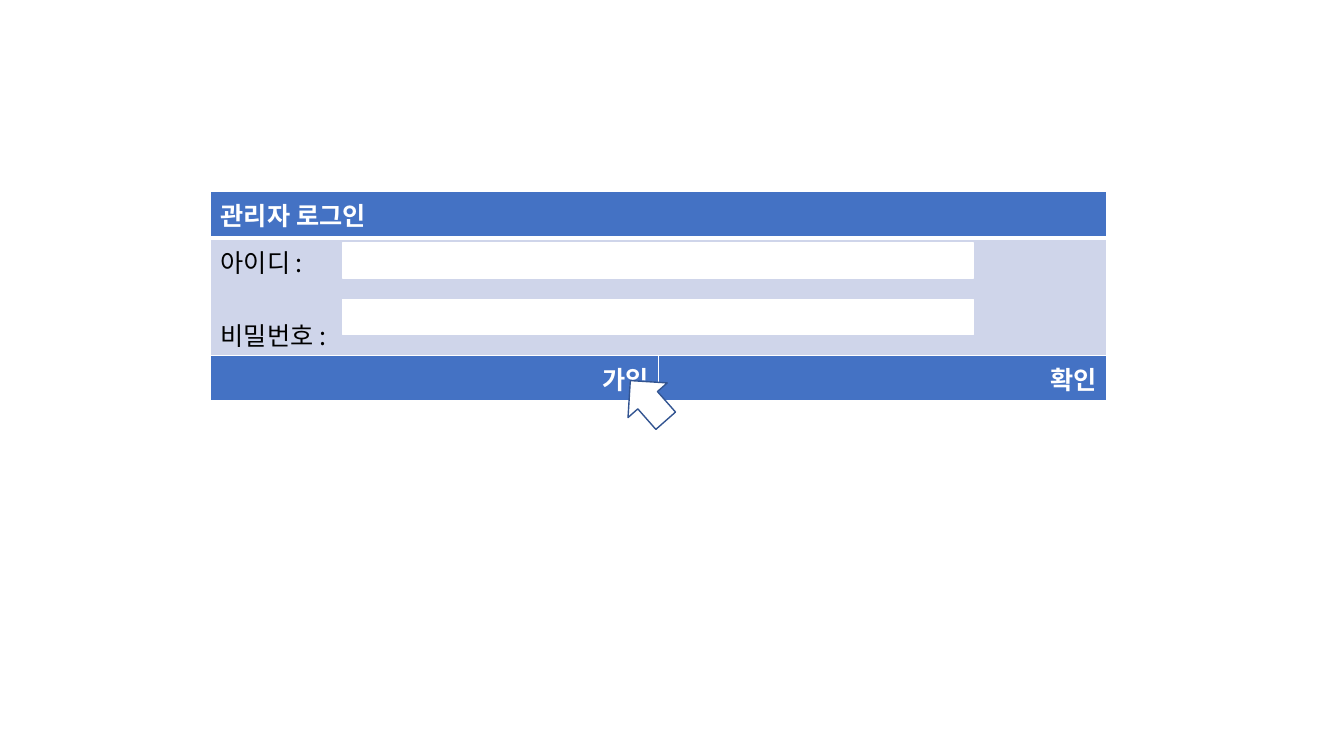
from dataclasses import dataclass

from lxml.etree import SubElement
from pptx import Presentation
from pptx.dml.color import RGBColor
from pptx.enum.shapes import MSO_SHAPE as Preset
from pptx.enum.text import PP_ALIGN as Align
from pptx.oxml.ns import qn
from pptx.slide import Slide
from pptx.table import _Cell as Cell
from pptx.util import Pt

FONT = "Noto Sans CJK KR"
WHITE = RGBColor(0xFF, 0xFF, 0xFF)
BLACK = RGBColor(0x00, 0x00, 0x00)
BLUE = RGBColor(0x44, 0x72, 0xC4)
PALE_BLUE = RGBColor(0xCF, 0xD5, 0xEA)
DARK_BLUE = RGBColor(0x32, 0x54, 0x91)

FORM_LEFT, FORM_WIDTH = 150.5, 640
LINE_GAP = 26  # one text line between the two field labels


@dataclass(frozen=True)
class CellStyle:
    fill: RGBColor
    color: RGBColor
    bold: bool
    align: Align = Align.LEFT
    top: float = 1
    bottom: float = 3


@dataclass(frozen=True)
class Entry:
    lines: tuple[str, ...]
    style: CellStyle


@dataclass(frozen=True)
class Figure:
    preset: Preset
    left: float
    top: float
    width: float
    height: float
    line: RGBColor
    rotation: float = 0


TITLE = CellStyle(BLUE, WHITE, True)
FIELDS = CellStyle(PALE_BLUE, BLACK, False, top=3, bottom=1)
BUTTON = CellStyle(BLUE, WHITE, True, Align.RIGHT)

LOGIN_ROWS = [
    [Entry(("관리자 로그인",), TITLE)],
    [Entry(("아이디 :", "비밀번호 :"), FIELDS)],
]
BUTTON_ROWS = [[Entry((label,), BUTTON) for label in ("가입", "확인")]]

INPUTS = [Figure(Preset.RECTANGLE, 244.8, top, 450.7, 25.2, WHITE)
          for top in (173.5, 213.8)]
POINTER = Figure(Preset.UP_ARROW, 444.2, 267.1, 37.4, 38.2, DARK_BLUE, 318.6)


def write(cell: Cell, lines: tuple[str, ...], *, color: RGBColor, bold: bool,
          align: Align, size: float = 18, gap: float = LINE_GAP) -> None:
    frame = cell.text_frame
    for index, line in enumerate(lines):
        para = frame.add_paragraph() if index else frame.paragraphs[0]
        para.alignment = align
        para.space_before = Pt(gap if index else 0)
        span = para.add_run()
        span.text = line
        font = span.font
        font.name, font.size, font.bold = FONT, Pt(size), bold
        font.color.rgb = color
        # Korean letters take the East Asian typeface
        SubElement(font._element, qn("a:ea"), typeface=FONT)


def add_borders(cell: Cell, style: CellStyle) -> None:
    properties = cell._tc.get_or_add_tcPr()
    widths = {"lnL": 1, "lnR": 1, "lnT": style.top, "lnB": style.bottom}
    for index, (side, width) in enumerate(widths.items()):
        border = properties.makeelement(qn(f"a:{side}"), {"w": str(Pt(width))})
        fill = SubElement(border, qn("a:solidFill"))
        SubElement(fill, qn("a:srgbClr"), val=str(WHITE))
        properties.insert(index, border)


def draw_table(page: Slide, rows: list[list[Entry]], top: float,
               heights: list[float]) -> None:
    count = len(rows[0])
    table = page.shapes.add_table(
        len(rows), count, Pt(FORM_LEFT), Pt(top),
        Pt(FORM_WIDTH), Pt(sum(heights))).table
    table.horz_banding = False
    for column in table.columns:
        column.width = Pt(FORM_WIDTH / count)
    for r, (entries, height) in enumerate(zip(rows, heights)):
        table.rows[r].height = Pt(height)
        for c, entry in enumerate(entries):
            cell, style = table.cell(r, c), entry.style
            cell.fill.solid()
            cell.fill.fore_color.rgb = style.fill
            write(cell, entry.lines, color=style.color, bold=style.bold,
                  align=style.align)
            add_borders(cell, style)


def draw_figure(page: Slide, figure: Figure) -> None:
    shape = page.shapes.add_shape(
        figure.preset, Pt(figure.left), Pt(figure.top),
        Pt(figure.width), Pt(figure.height))
    shape.shadow.inherit = False
    shape.rotation = figure.rotation
    shape.fill.solid()
    shape.fill.fore_color.rgb = WHITE
    shape.line.color.rgb = figure.line
    shape.line.width = Pt(1)


def main() -> None:
    deck = Presentation()
    deck.slide_width, deck.slide_height = Pt(960), Pt(540)
    page = deck.slides.add_slide(deck.slide_layouts[6])

    # Login form with its input fields
    draw_table(page, LOGIN_ROWS, 136.8, [33, 84])
    for field in INPUTS:
        draw_figure(page, field)

    # Button bar and mouse pointer
    draw_table(page, BUTTON_ROWS, 253.7, [29.5])
    draw_figure(page, POINTER)

    deck.save("out.pptx")


if __name__ == "__main__":
    main()
